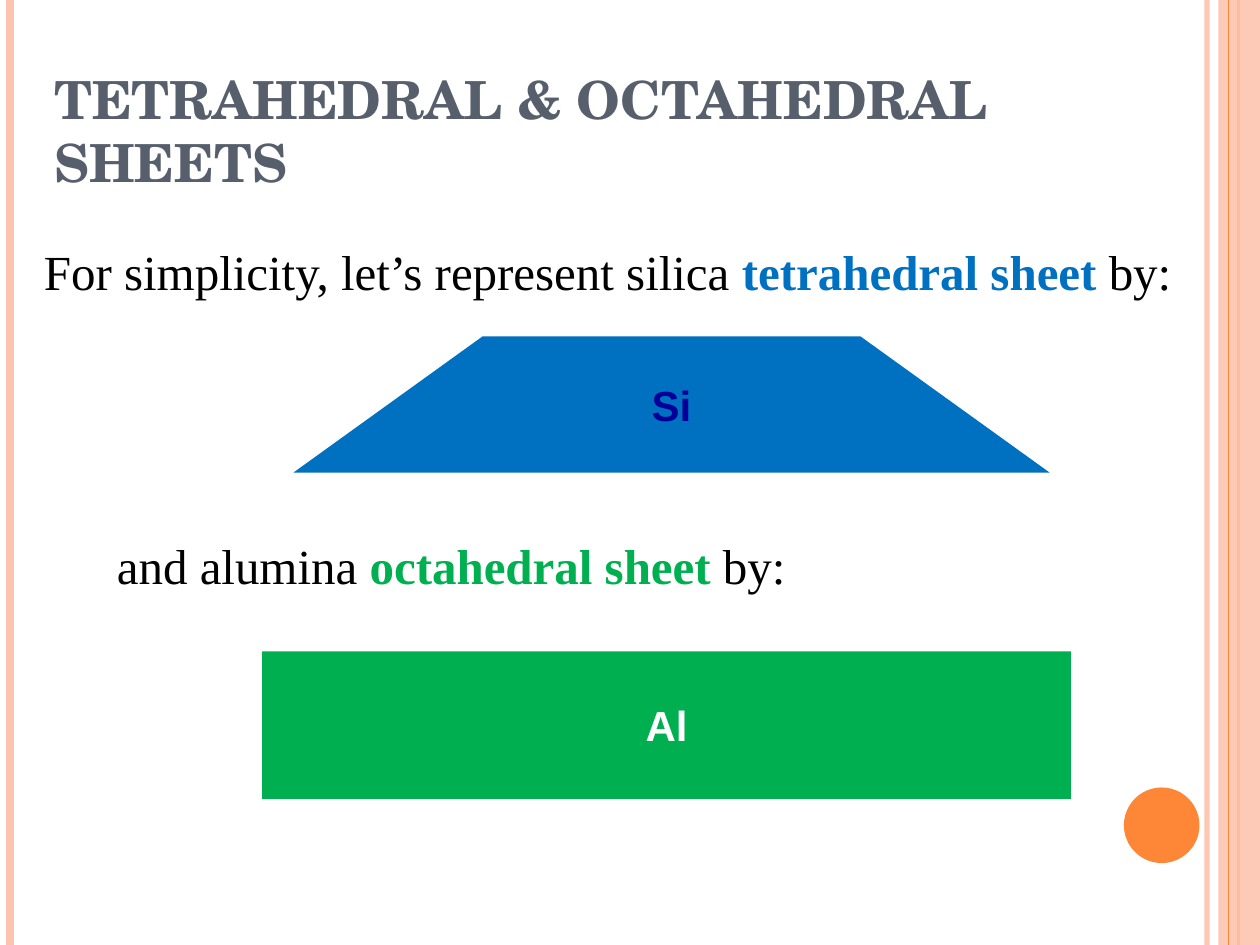
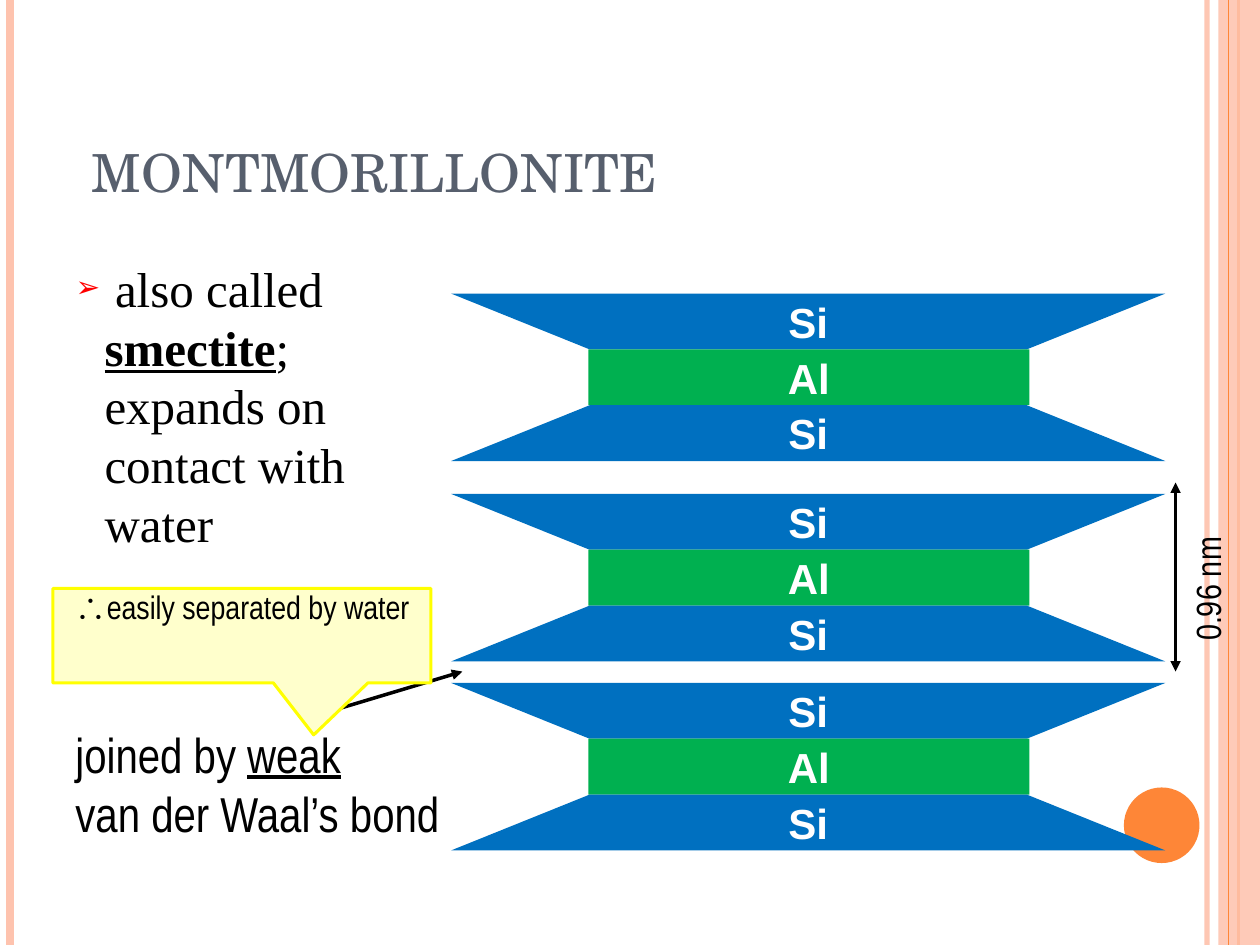
from lxml import etree
from pptx import Presentation
from pptx import util as u
from pptx.dml.color import RGBColor
from pptx.enum import shapes, text
from pptx.oxml import ns

# Colours
PEACH = RGBColor(0xFE, 0xC3, 0xAE)
ORANGE = RGBColor(0xFE, 0x86, 0x37)
SLATE = RGBColor(0x57, 0x5F, 0x6D)
SILICA_BLUE = RGBColor(0x00, 0x70, 0xC0)
ALUMINA_GREEN = RGBColor(0x00, 0xB0, 0x50)
NAVY = RGBColor(0x00, 0x00, 0x99)
RED = RGBColor(0xFF, 0x00, 0x00)
YELLOW = RGBColor(0xFF, 0xFF, 0x00)
PALE_YELLOW = RGBColor(0xFF, 0xFF, 0xCC)
BLACK = RGBColor(0x00, 0x00, 0x00)
WHITE = RGBColor(0xFF, 0xFF, 0xFF)

# Text formats
TITLE = {"name": "TeX Gyre Schola", "size": 30, "color": SLATE}
BODY = {"name": "Times New Roman", "size": 28, "color": BLACK}
LABEL = {"name": "Arial", "size": 24, "color": WHITE, "bold": True}
NOTE = {"name": "Arial Narrow", "size": 28, "color": BLACK}

# Three-layer clay unit
UNIT_LEFT, UNIT_WIDTH, UNIT_HEIGHT = 3.58, 5.67, 1.33
UNIT_TOPS = (2.33, 3.92, 5.42)
ALUMINA_LEFT, ALUMINA_WIDTH = 4.67, 3.5
SILICA_INSET = 1.1


def add_xml(parent, tag, **attributes):
    return etree.SubElement(parent, ns.qn(tag), attributes)


def inches(values):
    return [u.Inches(value) for value in values]


def format_font(font, values):
    for name, value in values.items():
        if name == "color":
            font.color.rgb = value
        else:
            setattr(font, name, u.Pt(value) if name == "size" else value)


def write_runs(paragraph, runs):
    for words, values in runs:
        if words == "\n":
            paragraph.add_line_break()
            continue
        run = paragraph.add_run()
        run.text = words
        format_font(run.font, values)


def write(shape, runs, anchor=text.MSO_ANCHOR.TOP, align=text.PP_ALIGN.LEFT,
          wrap=True, line_spacing=None):
    frame = shape.text_frame
    settings = {"word_wrap": wrap, "auto_size": text.MSO_AUTO_SIZE.NONE,
                "vertical_anchor": anchor}
    for name, value in settings.items():
        setattr(frame, name, value)
    paragraph = frame.paragraphs[0]
    paragraph.alignment = align
    paragraph.space_before = u.Pt(0)
    if line_spacing:
        paragraph.line_spacing = line_spacing
    write_runs(paragraph, runs)
    return paragraph


def place(shape, box):
    for name, value in zip(("left", "top", "width", "height"), inches(box)):
        setattr(shape, name, value)


def set_opacity(shape, percent):
    for color in shape.element.spPr.iter(ns.qn("a:srgbClr")):
        add_xml(color, "a:alpha", val=str(percent * 1000))


def add_title(slide, box, words, bold=False):
    title = slide.shapes.title
    place(title, box)
    write(title, [(words, TITLE | {"bold": bold})], text.MSO_ANCHOR.BOTTOM)


def add_text(slide, box, runs, **options):
    shape = slide.shapes.add_textbox(*inches(box))
    write(shape, runs, **options)
    return shape


def add_line(slide, start, end, color, width, arrows=()):
    line = slide.shapes.add_connector(shapes.MSO_CONNECTOR.STRAIGHT,
                                      *inches(start + end))
    line.line.color.rgb = color
    line.line.width = u.Pt(width)
    for arrow in arrows:
        add_xml(line.element.spPr.get_or_add_ln(), arrow, type="triangle")
    add_xml(line.element.spPr, "a:effectLst")
    return line


def paint(shape, fill):
    shape.shadow.inherit = False
    shape.fill.solid()
    shape.fill.fore_color.rgb = fill
    shape.line.fill.background()
    return shape


def add_block(parent, kind, box, fill):
    return paint(parent.shapes.add_shape(kind, *inches(box)), fill)


def add_label(shape, words, color=WHITE):
    write(shape, [(words, LABEL | {"color": color})], text.MSO_ANCHOR.MIDDLE,
          text.PP_ALIGN.CENTER, wrap=False)


def add_silica(parent, box, inset, color=WHITE, flipped=False):
    left, top, width, height = box
    long_y, short_y = (top, top + height) if flipped else (top + height, top)
    corners = [(left, long_y), (left + inset, short_y),
               (left + width - inset, short_y), (left + width, long_y)]
    start, *others = [inches(corner) for corner in corners]
    builder = parent.shapes.build_freeform(*start)
    builder.add_line_segments(others, close=True)
    add_label(paint(builder.convert_to_shape(), SILICA_BLUE), "Si", color)


def add_alumina(parent, box):
    add_label(add_block(parent, shapes.MSO_SHAPE.RECTANGLE, box, ALUMINA_GREEN), "Al")


def add_clay_unit(slide, top):
    group = slide.shapes.add_group_shape()
    layer = UNIT_HEIGHT / 3
    add_silica(group, (UNIT_LEFT, top, UNIT_WIDTH, layer), SILICA_INSET, flipped=True)
    add_alumina(group, (ALUMINA_LEFT, top + layer, ALUMINA_WIDTH, layer))
    add_silica(group, (UNIT_LEFT, top + 2 * layer, UNIT_WIDTH, layer), SILICA_INSET)


def add_bullet(paragraph, character, color, percent, indent):
    properties = paragraph._p.get_or_add_pPr()
    properties.set("marL", str(u.Inches(indent)))
    properties.set("indent", str(-u.Inches(indent)))
    add_xml(add_xml(properties, "a:buClr"), "a:srgbClr", val=str(color))
    add_xml(properties, "a:buSzPct", val=str(percent * 1000))
    add_xml(properties, "a:buChar", char=character)


def decorate_master(presentation, slide):
    """Draw the side bands and the disc, then move them to the master."""
    def band(x, color, width):
        return add_line(slide, (x, 0), (x, 7.5), color, width)

    inner = band(9.58, PEACH, 3)
    set_opacity(inner, 93)
    left, right = band(0.08, PEACH, 4.5), band(9.83, ORANGE, 1.5)
    strip = add_block(slide, shapes.MSO_SHAPE.RECTANGLE, (9.67, 0, 0.33, 7.5), PEACH)
    set_opacity(strip, 87)
    thin = band(9.75, ORANGE, 0.75)
    disc = add_block(slide, shapes.MSO_SHAPE.OVAL, (8.92, 6.25, 0.6, 0.6), ORANGE)
    tree = presentation.slide_master.element.cSld.spTree
    for shape in (inner, left, right, strip, thin, disc):
        tree.append(shape.element)


def build_sheets_slide(slide):
    add_title(slide, (0.33, 0.25, 9.5, 1.33), "TETRAHEDRAL & OCTAHEDRAL SHEETS", True)

    # Silica sheet
    add_text(slide, (0.25, 1.92, 9.25, 0.58), [
        ("For simplicity, let’s represent silica ", BODY),
        ("tetrahedral sheet ", BODY | {"color": SILICA_BLUE, "bold": True}),
        ("by:", BODY)], line_spacing=0.9)
    add_silica(slide, (2.33, 2.67, 6, 1.08), 1.5, NAVY)

    # Alumina sheet
    add_text(slide, (0.83, 4.25, 5.83, 0.58), [
        ("and alumina ", BODY),
        ("octahedral sheet ", BODY | {"color": ALUMINA_GREEN, "bold": True}),
        ("by:", BODY)], line_spacing=0.9)
    add_alumina(slide, (2.08, 5.17, 6.42, 1.17))


def build_montmorillonite_slide(slide):
    add_title(slide, (0.63, 0.75, 8.75, 0.91), "MONTMORILLONITE")

    # Stack of clay units and its spacing
    for top in UNIT_TOPS:
        add_clay_unit(slide, top)
    add_line(slide, (9.33, 3.83), (9.33, 5.33), BLACK, 1.75, ("a:headEnd", "a:tailEnd"))
    spacing = add_text(slide, (8.95, 4.33, 1.27, 0.44), [("0.96 nm", NOTE | {"size": 20})])
    spacing.rotation = 270

    # Bond between units
    add_text(slide, (0.5, 5.7, 3.25, 1.04), [
        ("joined by ", NOTE), ("weak", NOTE | {"underline": True}), ("\n", NOTE),
        ("van der Waal’s bond", NOTE)])
    add_line(slide, (2.67, 5.63), (3.67, 5.33), BLACK, 2, ("a:tailEnd",))

    # Callout
    callout = add_block(slide, shapes.MSO_SHAPE.RECTANGULAR_CALLOUT,
                        (0.42, 4.67, 3, 0.75), PALE_YELLOW)
    callout.line.color.rgb = YELLOW
    callout.line.width = u.Pt(1.75)
    callout.adjustments[0], callout.adjustments[1] = 0.19, 1.05
    small = NOTE | {"size": 18.6}
    write(callout, [("∴", small | {"name": "Arial"}), ("easily separated by water", small)],
          align=text.PP_ALIGN.CENTER, line_spacing=0.8)

    # Description
    body = slide.placeholders[1]
    place(body, (0.5, 2, 3.08, 1.97))
    paragraph = write(body, [
        (" ", BODY | {"size": 24}), ("also called ", BODY),
        ("smectite", BODY | {"bold": True, "underline": True}),
        ("; expands on contact with water", BODY)])
    add_bullet(paragraph, "➢", RED, 70, 0.23)


def main():
    presentation = Presentation()
    presentation.slide_width, presentation.slide_height = u.Inches(10), u.Inches(7.5)
    layouts = presentation.slide_layouts
    sheets = presentation.slides.add_slide(layouts.get_by_name("Title Only"))
    decorate_master(presentation, sheets)
    build_sheets_slide(sheets)
    build_montmorillonite_slide(
        presentation.slides.add_slide(layouts.get_by_name("Title and Content")))
    presentation.save("out.pptx")


if __name__ == "__main__":
    main()
